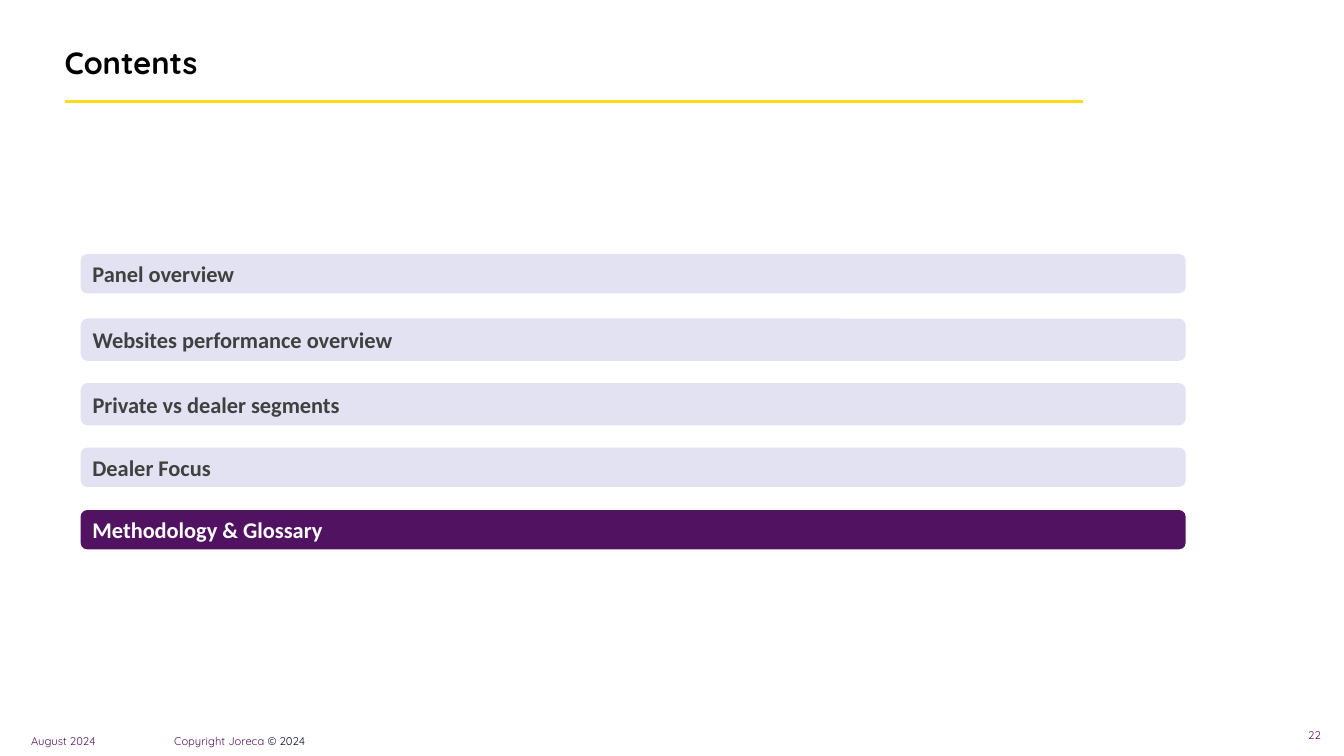
from pptx import Presentation
from pptx.dml.color import RGBColor
from pptx.enum import shapes, text
from pptx.oxml.ns import qn
from pptx.util import Inches, Pt

COLORS = {
    "title": "000000", "rule": "FFDC17", "purple": "521262", "navy": "040C28",
    "bar": "E2E2F2", "gray": "404040", "white": "FFFFFF",
}
TITLE = "Contents"
# label, top, height
SECTIONS = [
    ("Panel overview", 2.52, 0.39),
    ("Websites performance overview", 3.16, 0.42),
    ("Private vs dealer segments", 3.8, 0.42),
    ("Dealer Focus", 4.44, 0.39),
    ("Methodology & Glossary", 5.06, 0.39),
]
CURRENT = "Methodology & Glossary"
BAR_LEFT, BAR_WIDTH = 0.8, 10.96
# left, top, width, alignment, spans of (wording, color)
FOOTERS = [
    (0.21, 7.15, 1.18, text.PP_ALIGN.LEFT, [("August 2024", "purple")]),
    (1.63, 7.15, 4.5, text.PP_ALIGN.LEFT,
     [("Copyright\u00a0Joreca ", "purple"), ("© 2024", "navy")]),
    (10.2, 7.09, 3, text.PP_ALIGN.RIGHT, [("22", "purple")]),
]
FOOTER_HEIGHT = 0.4


def color(name):
    return RGBColor.from_string(COLORS[name])


def style(span, font, size, color_name, bold=False):
    span.font.name = font
    span.font.size = Pt(size)
    span.font.bold = bold
    span.font.color.rgb = color(color_name)


def add_title(page):
    title = page.shapes.title
    title.left, title.top = Inches(0.54), Inches(0.34)
    title.width, title.height = Inches(10.38), Inches(0.61)
    title.text_frame.text = TITLE
    title.text_frame.vertical_anchor = text.MSO_ANCHOR.MIDDLE
    para = title.text_frame.paragraphs[0]
    para.alignment = text.PP_ALIGN.LEFT
    para.line_spacing = 0.9
    style(para.runs[0], "Quicksand", 22, "title", True)

    rule = page.shapes.add_connector(
        shapes.MSO_CONNECTOR.STRAIGHT,
        Inches(0.64), Inches(1.01), Inches(10.74), Inches(1.01))
    rule.line.color.rgb = color("rule")
    rule.line.width = Pt(2.25)
    properties = rule._element.spPr
    properties.append(properties.makeelement(qn("a:effectLst"), {}))


def add_section(page, label, top, height):
    bar = page.shapes.add_shape(
        shapes.MSO_SHAPE.ROUNDED_RECTANGLE,
        Inches(BAR_LEFT), Inches(top), Inches(BAR_WIDTH), Inches(height))
    bar.shadow.inherit = False
    bar.fill.solid()
    bar.fill.fore_color.rgb = color("purple" if label == CURRENT else "bar")
    bar.line.fill.background()
    bar.text_frame.text = label
    bar.text_frame.vertical_anchor = text.MSO_ANCHOR.MIDDLE
    para = bar.text_frame.paragraphs[0]
    para.alignment = text.PP_ALIGN.LEFT
    style(para.runs[0], "Calibri", 16, "white" if label == CURRENT else "gray", True)


def add_footer(page, left, top, width, alignment, spans):
    box = page.shapes.add_textbox(
        Inches(left), Inches(top), Inches(width), Inches(FOOTER_HEIGHT))
    box.text_frame.word_wrap = True
    box.text_frame.vertical_anchor = text.MSO_ANCHOR.MIDDLE
    para = box.text_frame.paragraphs[0]
    para.alignment = alignment
    for wording, color_name in spans:
        span = para.add_run()
        span.text = wording
        style(span, "Quicksand", 8, color_name)


def main():
    deck = Presentation()
    deck.slide_width, deck.slide_height = Inches(13.33), Inches(7.5)
    page = deck.slides.add_slide(deck.slide_layouts[5])
    add_title(page)
    for section in SECTIONS:
        add_section(page, *section)
    for footer in FOOTERS:
        add_footer(page, *footer)
    deck.save("out.pptx")


if __name__ == "__main__":
    main()
